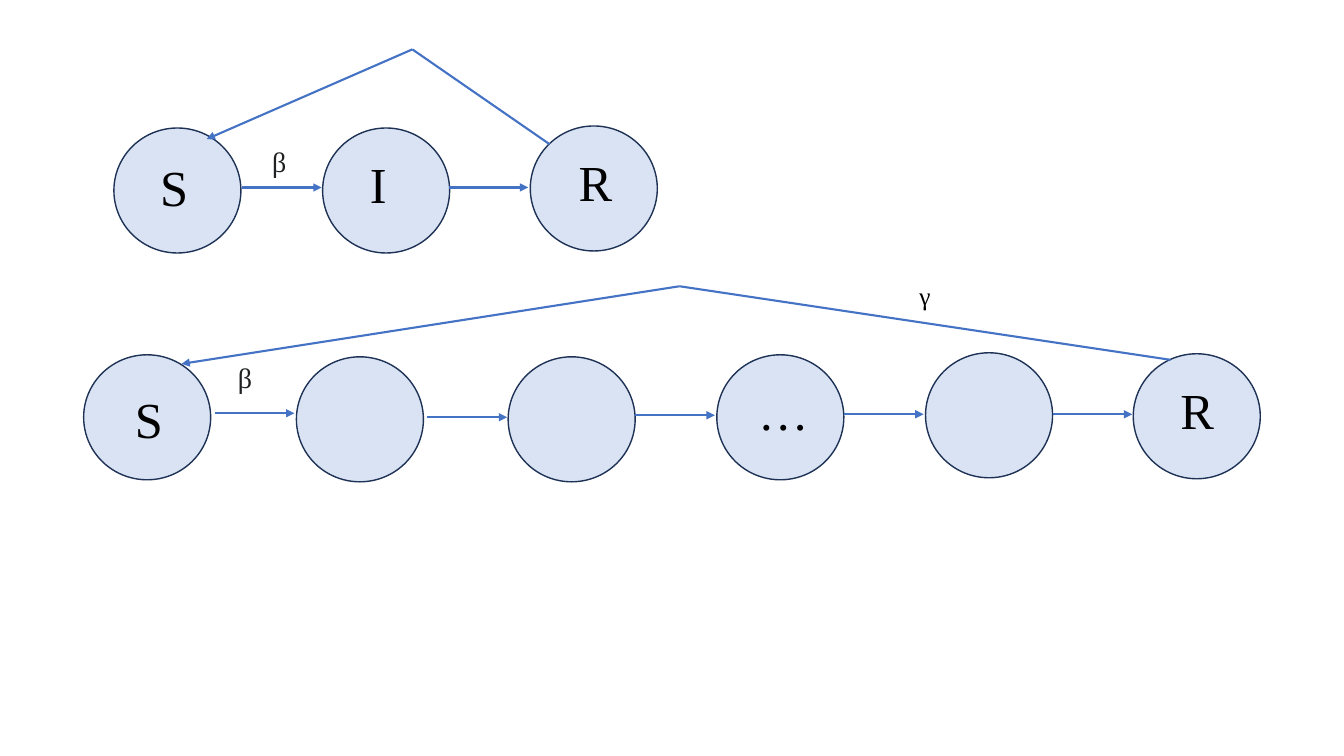
from dataclasses import dataclass
from lxml.etree import SubElement
from pptx import Presentation
from pptx.dml.color import RGBColor as RGB
from pptx.enum.shapes import MSO_CONNECTOR as CONNECTOR, MSO_SHAPE as SHAPE
from pptx.enum.text import MSO_AUTO_SIZE as AUTO_SIZE
from pptx.oxml.ns import qn
from pptx.util import Inches, Pt


@dataclass
class Theme:
    font: str = "Times New Roman"
    state_fill: RGB = RGB(0xDA, 0xE3, 0xF3)
    state_line: RGB = RGB(0x1E, 0x32, 0x56)
    flow: RGB = RGB(0x44, 0x72, 0xC4)
    ink: RGB = RGB(0, 0, 0)
    soft_ink: RGB = RGB(0x20, 0x21, 0x22)
    state_size: int = 36
    beta_size: int = 20
    gamma_size: int = 18


theme = Theme()
deck = Presentation()
deck.slide_width, deck.slide_height = Inches(13.33), Inches(7.5)
slide = deck.slides.add_slide(deck.slide_layouts[6])


def add_flow(start, end, arrow=True):
    flow = slide.shapes.add_connector(
        CONNECTOR.STRAIGHT, *(Inches(length) for length in start + end))
    flow.line.color.rgb = theme.flow
    flow.line.width = Pt(1.5)
    if arrow:
        SubElement(flow.line._get_or_add_ln(), qn("a:tailEnd"), type="triangle")
    SubElement(flow._element.spPr, qn("a:effectLst"))


def add_label(text, left, top, width, height, size, color):
    label = slide.shapes.add_textbox(
        Inches(left), Inches(top), Inches(width), Inches(height))
    frame = label.text_frame
    frame.word_wrap = True
    frame.auto_size = AUTO_SIZE.SHAPE_TO_FIT_TEXT
    paragraph = frame.paragraphs[0]
    paragraph.text = text
    paragraph.font.name = theme.font
    paragraph.font.size = Pt(size)
    paragraph.font.color.rgb = color


state_width, state_height = 1.26, 1.24
step_length = 0.79

short_states = [(1.13, 1.27), (3.2, 1.27), (5.26, 1.25)]
long_states = [(0.83, 3.52), (2.94, 3.54), (5.04, 3.54),
               (7.11, 3.52), (9.18, 3.5), (11.24, 3.51)]
for left, top in short_states + long_states:
    state = slide.shapes.add_shape(
        SHAPE.OVAL, Inches(left), Inches(top),
        Inches(state_width), Inches(state_height))
    state.shadow.inherit = False
    state.fill.solid()
    state.fill.fore_color.rgb = theme.state_fill
    state.line.color.rgb = theme.state_line
    state.line.width = Pt(1)

short_steps = [(2.4, 1.86), (4.45, 1.86)]
long_steps = [(2.13, 4.1), (4.24, 4.14), (6.3, 4.12), (8.37, 4.11), (10.44, 4.11)]
for left, top in short_steps + long_steps:
    add_flow((left, top), (left + step_length, top))

return_paths = [((5.45, 1.43), (4.09, 0.49), (2.05, 1.38)),
                ((11.61, 3.57), (6.74, 2.84), (1.8, 3.61))]
for recovered, peak, susceptible in return_paths:
    add_flow(recovered, peak, arrow=False)
    add_flow(peak, susceptible)

state_names = [("S", 1.49, 1.5), ("I", 3.57, 1.47), ("R", 5.64, 1.45),
               ("S", 1.24, 3.8), ("…", 7.42, 3.72), ("R", 11.61, 3.71)]
for name, left, top in state_names:
    add_label(name, left, top, 0.54, 0.71, theme.state_size, theme.ink)

for left, top in [(2.6, 1.38), (2.26, 3.53)]:
    add_label("β", left, top, 0.38, 0.44, theme.beta_size, theme.soft_ink)
add_label("γ", 9.02, 2.73, 0.31, 0.4, theme.gamma_size, theme.ink)

deck.save("out.pptx")
